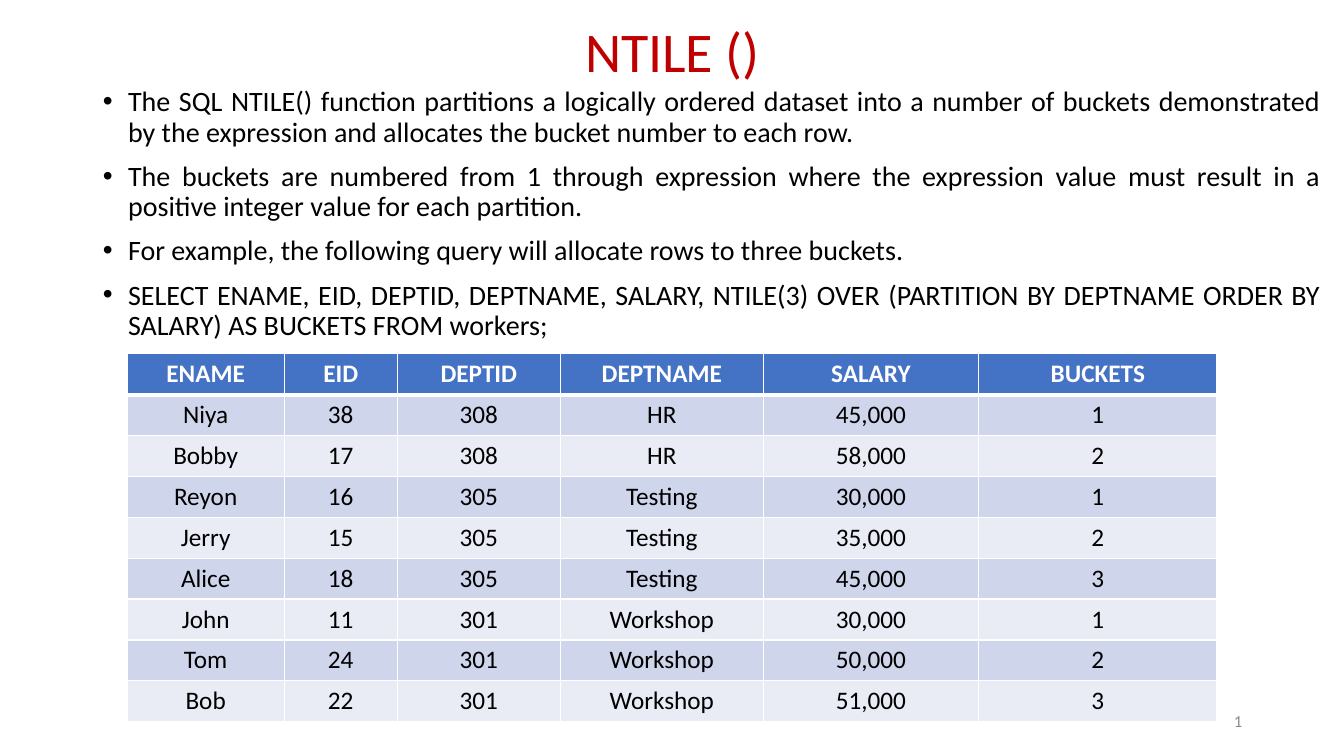
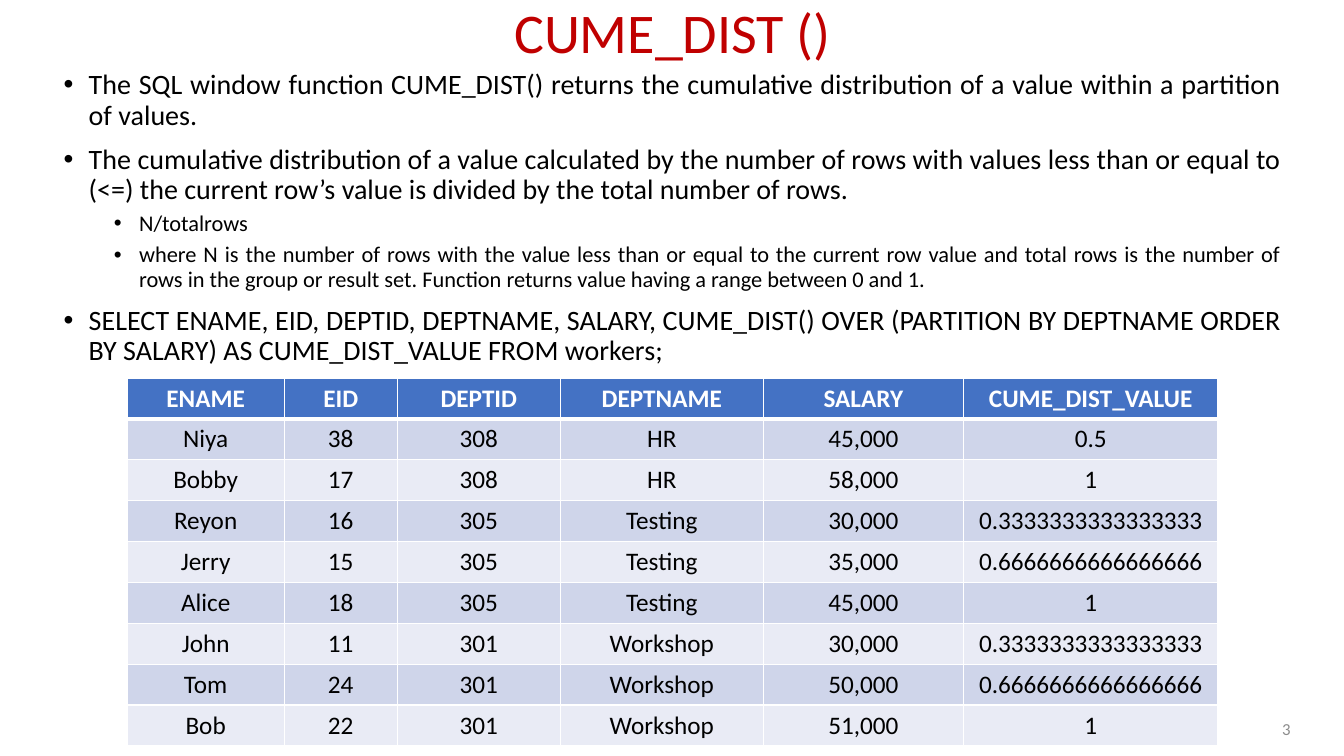
from lxml import etree
from pptx import Presentation
from pptx.dml.color import RGBColor
from pptx.enum.text import MSO_ANCHOR, MSO_AUTO_SIZE, PP_ALIGN
from pptx.oxml.ns import qn
from pptx.util import Inches, Pt

LEFT, CENTER, RIGHT, JUSTIFY = (
    PP_ALIGN.LEFT, PP_ALIGN.CENTER, PP_ALIGN.RIGHT, PP_ALIGN.JUSTIFY)
TOP, MIDDLE = MSO_ANCHOR.TOP, MSO_ANCHOR.MIDDLE
NO_AUTOFIT = MSO_AUTO_SIZE.NONE

FONT = "Calibri"
RED, BLACK, WHITE, GRAY = "C00000", "000000", "FFFFFF", "8C8C8C"
HEADER_FILL, BAND_FILLS = "4472C4", ("CFD5EA", "E9EBF5")

TITLE_AND_CONTENT = 1
TABLE_LEFT, TABLE_HEIGHT = 1.26, 3.64
# (text size, left margin in inches, space before) by list level
LEVELS = ((20, 0.25, 10), (16, 0.75, 5))

HEADINGS = ("ENAME", "EID", "DEPTID", "DEPTNAME", "SALARY")
WORKERS = (
    ("Niya", "38", "308", "HR", "45,000"),
    ("Bobby", "17", "308", "HR", "58,000"),
    ("Reyon", "16", "305", "Testing", "30,000"),
    ("Jerry", "15", "305", "Testing", "35,000"),
    ("Alice", "18", "305", "Testing", "45,000"),
    ("John", "11", "301", "Workshop", "30,000"),
    ("Tom", "24", "301", "Workshop", "50,000"),
    ("Bob", "22", "301", "Workshop", "51,000"),
)
THIRD, TWO_THIRDS = "0.3333333333333333", "0.6666666666666666"

NTILE_POINTS = (
    (0, "The SQL NTILE() function partitions a logically ordered dataset into a "
        "number of buckets demonstrated by the expression and allocates the "
        "bucket number to each row."),
    (0, "The buckets are numbered from 1 through expression where the expression "
        "value must result in a positive integer value for each partition."),
    (0, "For example, the following query will allocate rows to three buckets."),
    (0, "SELECT ENAME, EID, DEPTID, DEPTNAME, SALARY, NTILE(3) OVER (PARTITION BY "
        "DEPTNAME ORDER BY SALARY) AS BUCKETS FROM workers;"),
)
CUME_DIST_POINTS = (
    (0, "The SQL window function CUME_DIST() returns the cumulative distribution "
        "of a value within a partition of values."),
    (0, "The cumulative distribution of a value calculated by the number of rows "
        "with values less than or equal to (<=) the current row’s value is "
        "divided by the total number of rows."),
    (1, "N/totalrows"),
    (1, "where N is the number of rows with the value less than or equal to the "
        "current row value and total rows is the number of rows in the group or "
        "result set. Function returns value having a range between 0 and 1."),
    (0, "SELECT ENAME, EID, DEPTID, DEPTNAME, SALARY, CUME_DIST() OVER (PARTITION "
        "BY DEPTNAME ORDER BY SALARY) AS CUME_DIST_VALUE FROM workers;"),
)


def color(value):
    return RGBColor.from_string(value)


def place(box, left, top, width, height):
    box.left, box.top = Inches(left), Inches(top)
    box.width, box.height = Inches(width), Inches(height)


def write(paragraph, text, size=18, ink=BLACK, bold=False, align=LEFT, spacing=1.0):
    paragraph.alignment = align
    paragraph.line_spacing = spacing
    span = paragraph.add_run()
    span.text = text
    span.font.name = FONT
    span.font.size = Pt(size)
    span.font.bold = bold
    span.font.color.rgb = color(ink)


def prepare_frame(box, anchor):
    frame = box.text_frame
    frame.word_wrap = True
    frame.auto_size = NO_AUTOFIT
    frame.vertical_anchor = anchor
    return frame


def add_bullet(paragraph, margin):
    properties = paragraph._p.get_or_add_pPr()
    properties.set("marL", str(Inches(margin)))
    properties.set("indent", str(Inches(-0.25)))
    etree.SubElement(properties, qn("a:buFont"), typeface="Arial")
    etree.SubElement(properties, qn("a:buChar"), char="•")


def add_title(page, text, top):
    title = page.shapes.title
    place(title, 0.92, top, 11.5, 1.45)
    frame = prepare_frame(title, MIDDLE)
    write(frame.paragraphs[0], text, size=40, ink=RED, align=CENTER, spacing=0.9)


def add_points(page, points, left, top):
    body = page.placeholders[1]
    place(body, left, top, 12.28, 4.76)
    frame = prepare_frame(body, TOP)
    for index, (level, text) in enumerate(points):
        paragraph = frame.add_paragraph() if index else frame.paragraphs[0]
        size, margin, before = LEVELS[level]
        paragraph.level = level
        add_bullet(paragraph, margin)
        paragraph.space_before = Pt(before if index else 0)
        write(paragraph, text, size=size, align=JUSTIFY, spacing=0.9)


def add_page_number(page, number, left, top):
    box = page.shapes.add_textbox(
        Inches(left), Inches(top), Inches(3), Inches(0.4))
    frame = prepare_frame(box, MIDDLE)
    write(frame.paragraphs[0], number, size=12, ink=GRAY, align=RIGHT)


def set_borders(cell, bottom):
    """Draw white cell borders; call before the fill, as the schema orders them."""
    properties = cell._tc.get_or_add_tcPr()
    for side, width in (("L", 1), ("R", 1), ("T", 1), ("B", bottom)):
        line = etree.SubElement(properties, qn("a:ln" + side), w=str(Pt(width)))
        fill = etree.SubElement(line, qn("a:solidFill"))
        etree.SubElement(fill, qn("a:srgbClr"), val=WHITE)


def add_worker_table(page, heading, values, top, last_widths):
    """Add the workers with one more column, headed by heading."""
    rows = [(*HEADINGS, heading)]
    rows += [(*worker, value) for worker, value in zip(WORKERS, values)]
    widths = (1.56, 1.12, 1.62, 2.01, *last_widths)
    table = page.shapes.add_table(
        len(rows), len(widths), Inches(TABLE_LEFT), Inches(top),
        Inches(sum(widths)), Inches(TABLE_HEIGHT)).table
    for column, width in zip(table.columns, widths):
        column.width = Inches(width)
    for row_index, row in enumerate(rows):
        header = row_index == 0
        for column_index, text in enumerate(row):
            cell = table.cell(row_index, column_index)
            set_borders(cell, bottom=3 if header else 1)
            cell.fill.solid()
            cell.fill.fore_color.rgb = color(
                HEADER_FILL if header else BAND_FILLS[(row_index - 1) % 2])
            write(cell.text_frame.paragraphs[0], text, bold=header,
                  ink=WHITE if header else BLACK, align=CENTER)


def main():
    deck = Presentation()
    deck.slide_width, deck.slide_height = Inches(13.33), Inches(7.5)
    layout = deck.slide_layouts[TITLE_AND_CONTENT]

    page = deck.slides.add_slide(layout)
    add_title(page, "NTILE ()", top=-0.19)
    add_page_number(page, "1", left=9.42, top=6.95)
    add_points(page, NTILE_POINTS, left=0.92, top=0.82)
    add_worker_table(page, "BUCKETS", "12123123", top=3.51, last_widths=(2.14, 2.36))

    page = deck.slides.add_slide(layout)
    add_title(page, "CUME_DIST ()", top=-0.37)
    add_page_number(page, "3", left=9.9, top=7.03)
    add_points(page, CUME_DIST_POINTS, left=0.53, top=0.65)
    distribution = ("0.5", "1") + (THIRD, TWO_THIRDS, "1") * 2
    add_worker_table(page, "CUME_DIST_VALUE", distribution, top=3.75,
                     last_widths=(1.99, 2.52))

    deck.save("out.pptx")


if __name__ == "__main__":
    main()
